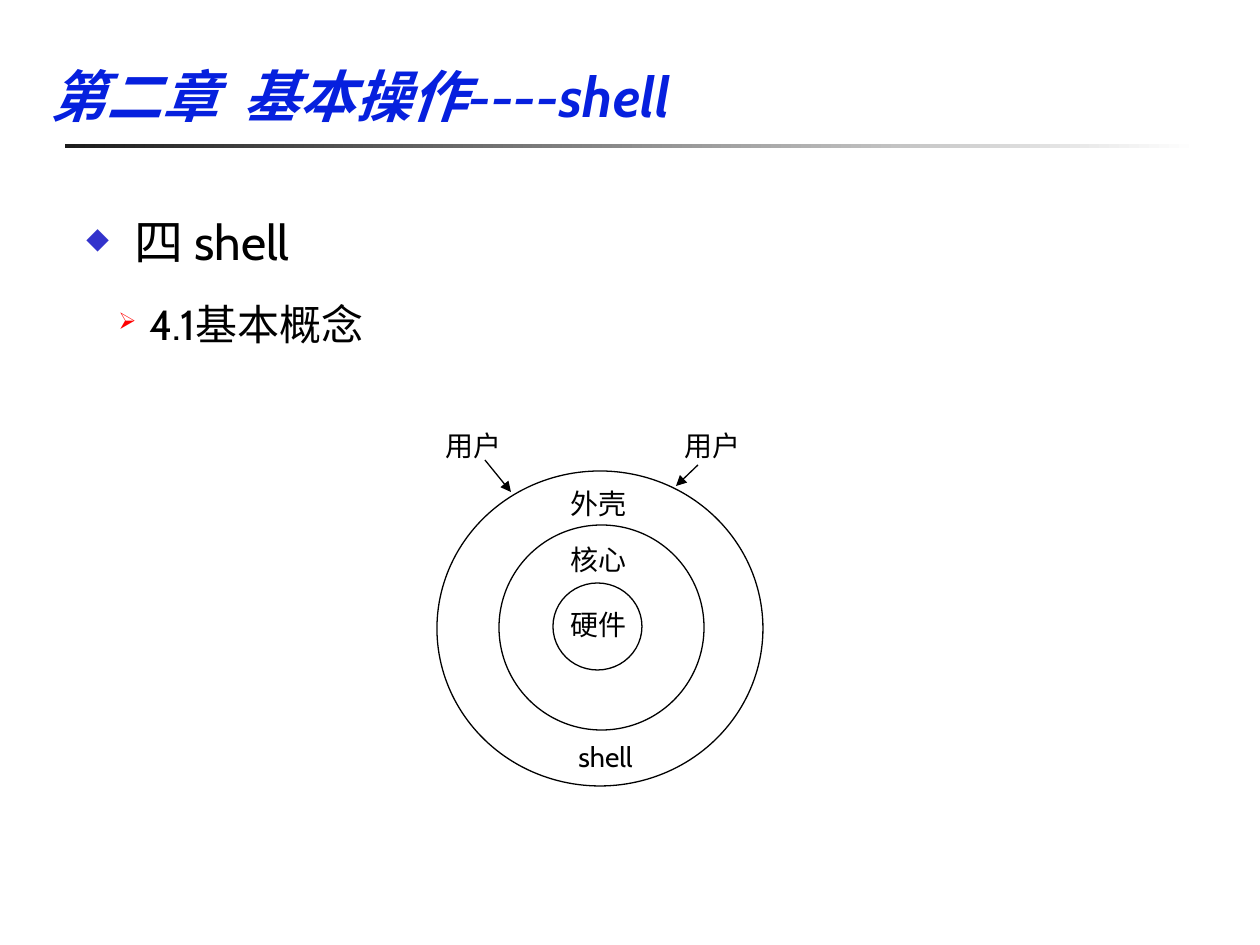
from lxml import etree
from pptx import Presentation
from pptx.dml.color import RGBColor
from pptx.enum.shapes import MSO_CONNECTOR, MSO_SHAPE
from pptx.enum.text import MSO_ANCHOR, MSO_AUTO_SIZE
from pptx.oxml.ns import qn
from pptx.util import Emu, Pt

STRAIGHT = MSO_CONNECTOR.STRAIGHT
OVAL, RECTANGLE = MSO_SHAPE.OVAL, MSO_SHAPE.RECTANGLE
TOP, BOTTOM = MSO_ANCHOR.TOP, MSO_ANCHOR.BOTTOM
GROW = MSO_AUTO_SIZE.SHAPE_TO_FIT_TEXT

PX_PER_INCH = 126
FONT = "Cabin"
COLORS = {
    "title": "0620DE",
    "ink": "000000",
    "rule_start": "1C1C1C",
    "rule_end": "FFFFFF",
    "diamond": "3333CC",
    "arrow_bullet": "FF0000",
}


def px(value):
    return Emu(round(value * 914400 / PX_PER_INCH))


def color(name):
    return RGBColor.from_string(COLORS[name])


def add_box(page, left, top, width, height, anchor=TOP, wrap=True):
    box = page.shapes.add_textbox(px(left), px(top), px(width), px(height))
    box.text_frame.word_wrap = wrap
    box.text_frame.vertical_anchor = anchor
    return box


def add_text(para, text, size, ink="ink", bold=False, italic=False):
    span = para.add_run()
    span.text = text
    span.font.name = FONT
    span.font.size = Pt(size)
    span.font.bold = bold
    span.font.italic = italic
    span.font.color.rgb = color(ink)


def add_bullet(para, char, ink, percent, margin, hanging):
    props = para._p.get_or_add_pPr()
    props.set("marL", str(px(margin)))
    props.set("indent", str(-px(hanging)))
    bullet_color = etree.SubElement(props, qn("a:buClr"))
    etree.SubElement(bullet_color, qn("a:srgbClr"), val=COLORS[ink])
    etree.SubElement(props, qn("a:buSzPct"), val=str(percent * 1000))
    etree.SubElement(props, qn("a:buChar"), char=char)


def add_title(page):
    box = add_box(page, 38, 29, 1074, 106, BOTTOM)
    add_text(box.text_frame.paragraphs[0], "第二章  基本操作----shell", 32,
             "title", bold=True, italic=True)


def add_rule(page):
    rule = page.shapes.add_shape(RECTANGLE, px(65), px(144), px(1134), px(4))
    rule.shadow.inherit = False
    rule.line.fill.background()
    rule.fill.gradient()
    rule.fill.gradient_angle = 0
    for stop, name in zip(rule.fill.gradient_stops, ("rule_start", "rule_end")):
        stop.color.rgb = color(name)


def add_outline(page):
    frame = add_box(page, 74, 185, 1142, 237).text_frame
    heading = frame.paragraphs[0]
    add_bullet(heading, "◆", "diamond", 60, 48, 48)
    add_text(heading, "四 shell", 28)

    topic = frame.add_paragraph()
    topic.level = 1
    add_bullet(topic, "➢", "arrow_bullet", 55, 63, 31)
    topic.space_before = Pt(6)
    add_text(topic, "4.1基本概念", 24)

    for para in frame.paragraphs:
        para.line_spacing = 1.35


def add_ring(page, left, top, width, height):
    ring = page.shapes.add_shape(OVAL, px(left), px(top), px(width), px(height))
    ring.shadow.inherit = False
    ring.fill.background()
    ring.line.color.rgb = color("ink")
    ring.line.width = Pt(0.75)


def add_label(page, text, left, top, width):
    box = add_box(page, left, top, width, 47, BOTTOM, wrap=False)
    box.text_frame.auto_size = GROW
    add_text(box.text_frame.paragraphs[0], text, 16)


def add_arrow(page, start_x, start_y, end_x, end_y):
    arrow = page.shapes.add_connector(
        STRAIGHT, px(start_x), px(start_y), px(end_x), px(end_y))
    arrow.line.color.rgb = color("ink")
    arrow.line.width = Pt(0.75)
    etree.SubElement(arrow.line._get_or_add_ln(), qn("a:tailEnd"), type="triangle")
    etree.SubElement(arrow._element.spPr, qn("a:effectLst"))


def add_shell_diagram(page):
    # Hardware, kernel and shell, from the inside out
    for ring in ((553, 583, 89, 87), (499, 525, 205, 205), (437, 471, 326, 315)):
        add_ring(page, *ring)

    # Names of the layers and of the users outside
    for label in (
        ("硬件", 558, 600, 81),
        ("核心", 558, 535, 81),
        ("外壳", 558, 479, 81),
        ("shell", 566, 732, 86),
        ("用户", 672, 421, 81),
        ("用户", 433, 421, 81),
    ):
        add_label(page, *label)

    # Users reach the shell
    add_arrow(page, 485, 460, 511, 492)
    add_arrow(page, 698, 465, 676, 486)


def main():
    deck = Presentation()
    deck.slide_width, deck.slide_height = px(1260), px(945)
    page = deck.slides.add_slide(deck.slide_layouts[6])
    add_rule(page)
    add_outline(page)
    add_title(page)
    add_shell_diagram(page)
    deck.save("out.pptx")


if __name__ == "__main__":
    main()
